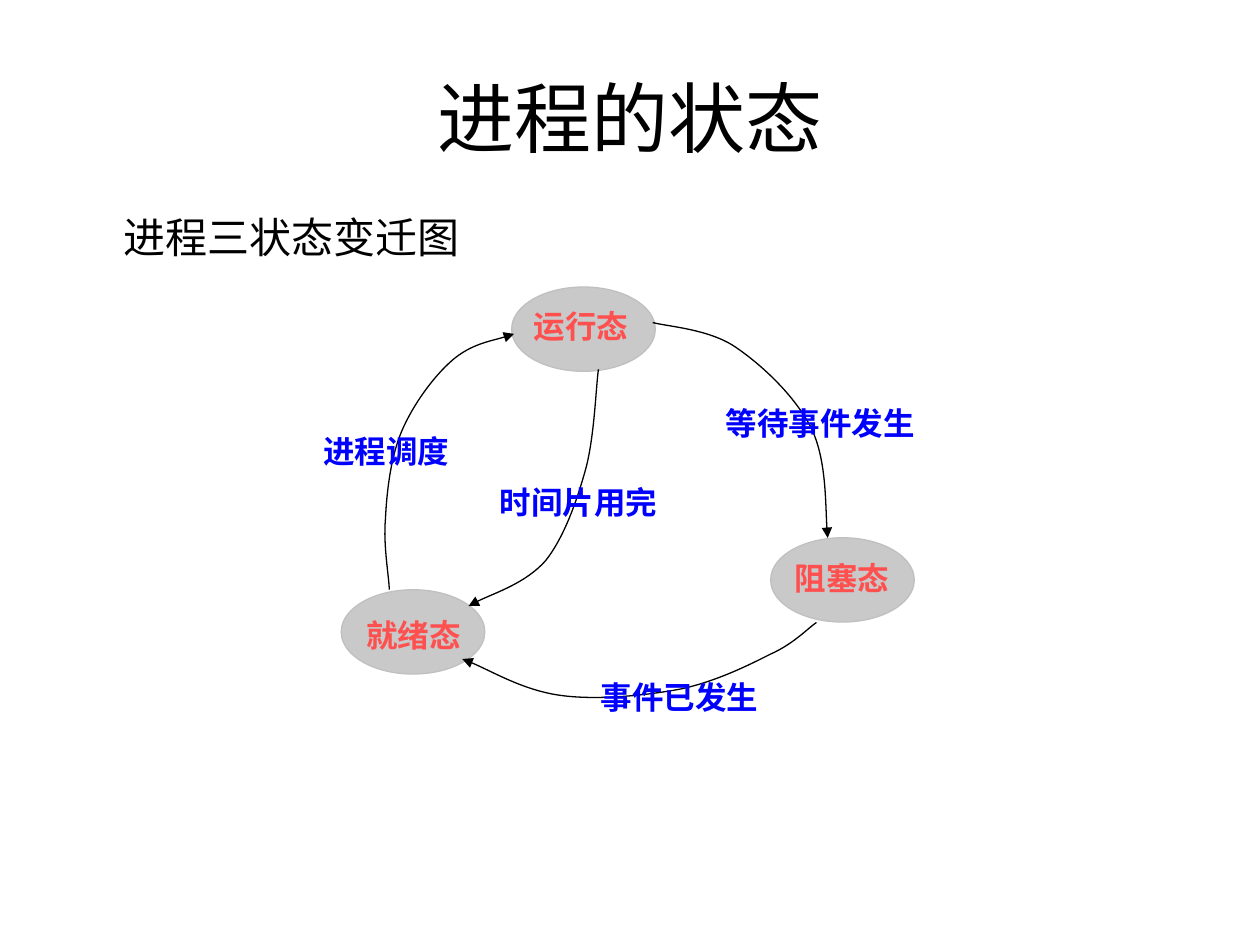
"""Draw the three-state process diagram on one slide."""
from lxml.etree import SubElement
from pptx import Presentation
from pptx.dml.color import RGBColor
from pptx.enum.shapes import MSO_SHAPE
from pptx.enum.text import MSO_ANCHOR, PP_ALIGN
from pptx.oxml.ns import qn
from pptx.util import Pt

COLORS = {"text": "000000", "oval": "C0C0C0", "state": "FF5050", "event": "0000FF"}
SERIF = "Times New Roman"

STATES = [
    ("运行态", (292.4, 164), (298, 172)),
    ("就绪态", (195, 337), (202.3, 348.5)),
    ("阻塞态", (440.4, 307.3), (447.1, 316.1)),
]
EVENTS = [
    ("进程调度", 177.8, 243.4, 98.6),
    ("时间片用完", 278.6, 272.2, 112.3),
    ("事件已发生", 336.2, 383.8, 131),
    ("等待事件发生", 407.5, 227.5, 131),
]
CURVES = [
    [(222.5, 337), (222.5, 330.5), (218.9, 311.8), (220.3, 296.6),
     (221, 281.5), (223.2, 261.4), (229.7, 246.2),
     (236.2, 231.1), (247.7, 215.3), (258.5, 205.9),
     (269.3, 196.6), (286.6, 193.7), (293.8, 190.8)],
    [(342, 211), (340.6, 220.3), (339.8, 249.1), (334.8, 267.8),
     (329.8, 285.8), (322.6, 306.7), (311.8, 320.4),
     (300.2, 333.4), (277.2, 340.6), (267.8, 346.3)],
    [(373, 184.3), (380.9, 186.5), (404.6, 187.9), (419.8, 198),
     (434.9, 208.1), (454.3, 226.1), (463.7, 244.8),
     (472.3, 262.8), (471.6, 294.5), (473, 307.4)],
    [(466.6, 355.7), (462.2, 358.6), (453.6, 367.9), (440.6, 373.7),
     (427.7, 380.2), (409, 389.5), (388.8, 393.8),
     (369.4, 397.4), (341.3, 400.3), (320.4, 397.4),
     (299.5, 394.6), (276.5, 380.9), (264.2, 376.6)],
]


def color(key):
    return RGBColor.from_string(COLORS[key])


def place(shape, left, top, width, height):
    shape.left, shape.top = Pt(left), Pt(top)
    shape.width, shape.height = Pt(width), Pt(height)


def write(shape, text, size, font, key, align, bold=False):
    frame = shape.text_frame
    frame.word_wrap = True
    frame.text = text
    para = frame.paragraphs[0]
    para.alignment = align
    para.space_before = Pt(0)
    for run in para.runs:
        run.font.name, run.font.size, run.font.bold = font, Pt(size), bold
        run.font.color.rgb = color(key)
    return para


def add_title(slide, text):
    title = slide.shapes.title
    place(title, 36, 21.6, 648, 90)
    write(title, text, 44, SERIF, "text", PP_ALIGN.CENTER)
    title.text_frame.vertical_anchor = MSO_ANCHOR.MIDDLE


def add_body(slide, text):
    body = slide.placeholders[1]
    place(body, 63.4, 117.4, 561.6, 47.5)
    para = write(body, text, 24, "Arial", "text", PP_ALIGN.LEFT)
    props = para._p.get_or_add_pPr()
    props.set("marL", str(Pt(27)))
    props.set("indent", str(-Pt(27)))
    SubElement(props, qn("a:buNone"))


def add_label(slide, text, left, top, width, key):
    box = slide.shapes.add_textbox(Pt(left), Pt(top), Pt(width), Pt(48.2))
    write(box, text, 18, SERIF, key, PP_ALIGN.JUSTIFY, True)


def add_state(slide, text, spot, label):
    oval = slide.shapes.add_shape(
        MSO_SHAPE.OVAL, Pt(spot[0]), Pt(spot[1]), Pt(82.1), Pt(48.2))
    oval.shadow.inherit = False
    oval.fill.solid()
    oval.fill.fore_color.rgb = oval.line.color.rgb = color("oval")
    oval.line.width = Pt(0.75)
    tint = oval.fill._xPr.find(qn("a:solidFill"))[0]
    SubElement(tint, qn("a:alpha")).set("val", "85000")
    add_label(slide, text, *label, 98.6, "state")


def add_curve(slide, points):
    start, *rest = [(Pt(x), Pt(y)) for x, y in points]
    draft = slide.shapes.build_freeform(*start)
    draft.add_line_segments(rest, close=False)
    curve = draft.convert_to_shape()
    curve.shadow.inherit = False
    curve.fill.background()
    curve.line.color.rgb = color("text")
    curve.line.width = Pt(0.75)
    SubElement(curve.line._get_or_add_ln(), qn("a:tailEnd")).set("type", "triangle")
    track = curve._element.spPr.find(".//" + qn("a:path"))
    steps = track.findall(qn("a:lnTo"))
    for first in range(0, len(steps), 3):
        bend = SubElement(track, qn("a:cubicBezTo"))
        for step in steps[first:first + 3]:
            bend.append(step[0])
            track.remove(step)


def main():
    deck = Presentation()
    deck.slide_width, deck.slide_height = Pt(720), Pt(540)
    slide = deck.slides.add_slide(deck.slide_layouts[1])
    add_title(slide, "进程的状态")
    add_body(slide, "进程三状态变迁图")
    for state in STATES:
        add_state(slide, *state)
    for points in CURVES:
        add_curve(slide, points)
    for event in EVENTS:
        add_label(slide, *event, "event")
    deck.save("out.pptx")


if __name__ == "__main__":
    main()
